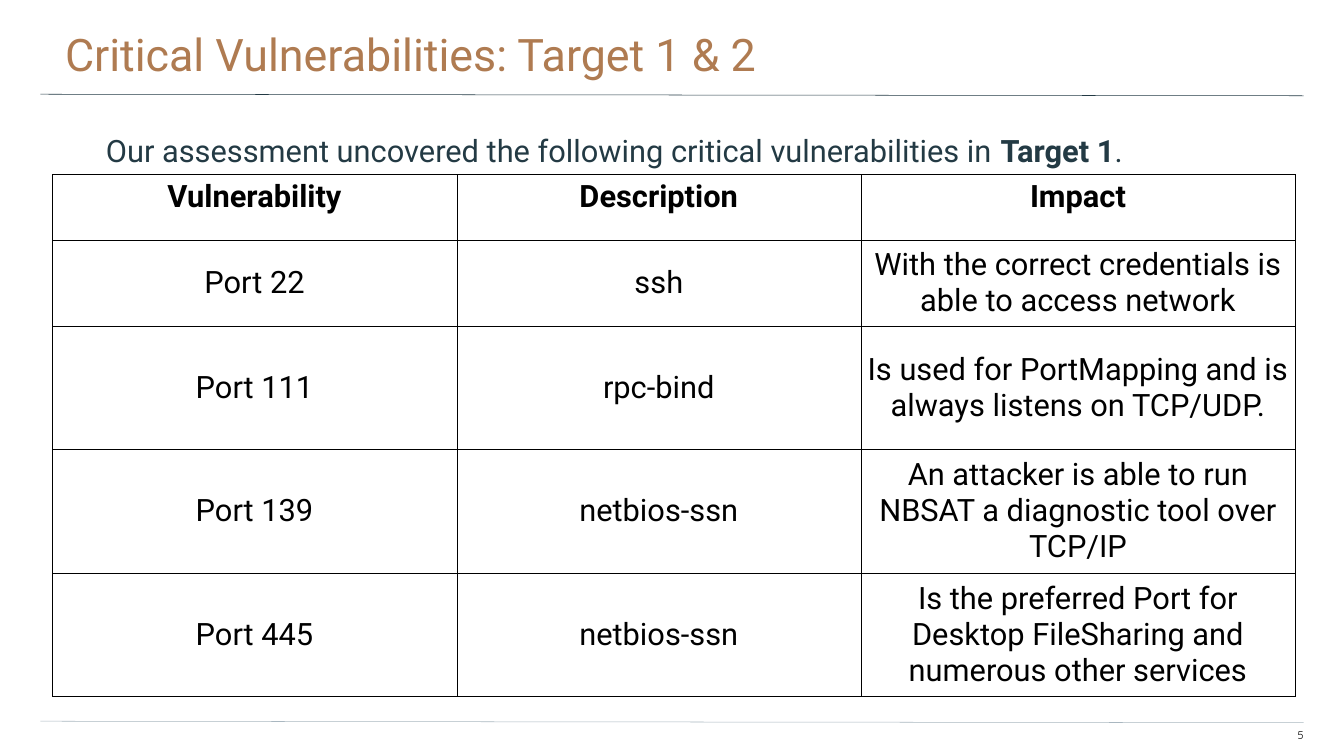
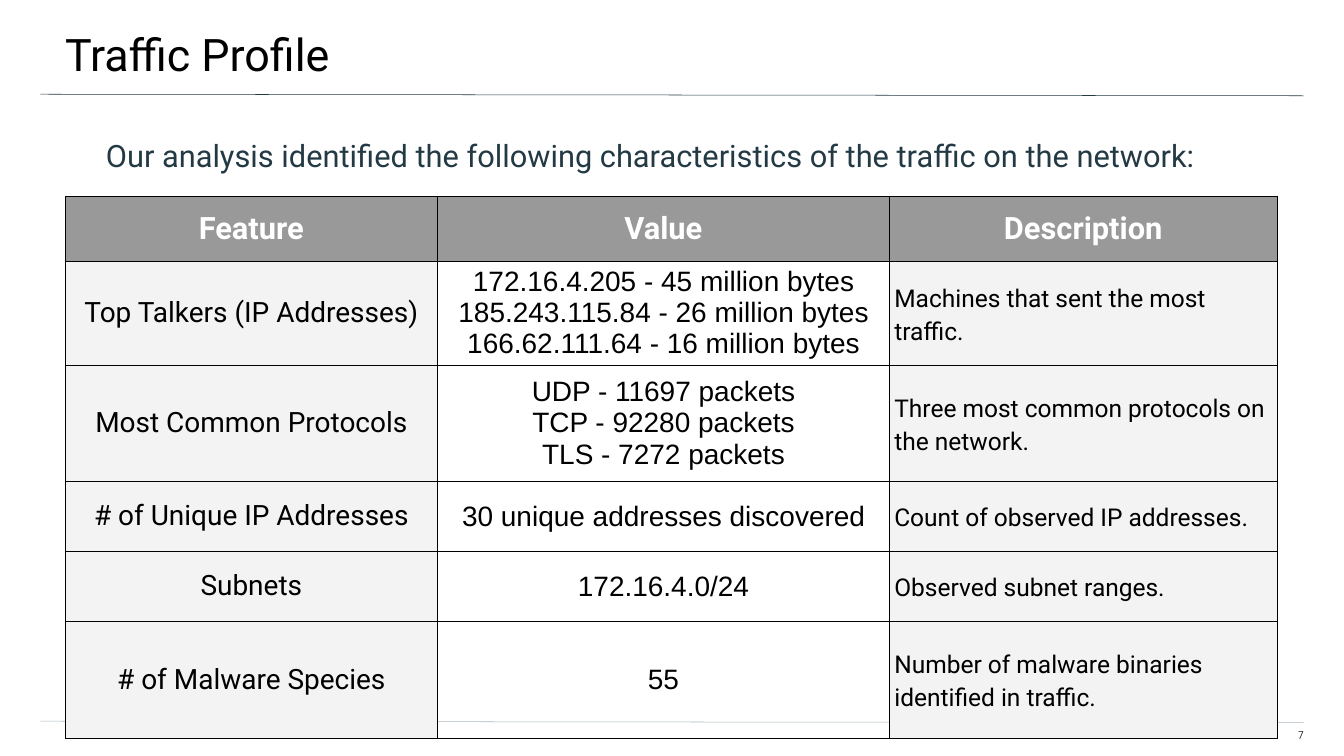
from dataclasses import dataclass
from typing import Optional

from lxml import etree
from pptx import Presentation
from pptx.dml.color import RGBColor
from pptx.enum import shapes, text
from pptx.oxml import ns
from pptx.util import Inches, Pt

BLACK = RGBColor(0, 0, 0)
WHITE = RGBColor(0xFF, 0xFF, 0xFF)
COPPER = RGBColor(0xAF, 0x7B, 0x51)
SLATE = RGBColor(0x23, 0x3A, 0x44)
MIST = RGBColor(0xA9, 0xB7, 0xC0)
GREY = RGBColor(0x99, 0x99, 0x99)
PALE = RGBColor(0xF3, 0xF3, 0xF3)
MID = text.MSO_ANCHOR.MIDDLE
TOP = text.MSO_ANCHOR.TOP
LEFT = text.PP_ALIGN.LEFT
RIGHT = text.PP_ALIGN.RIGHT
CENTER = text.PP_ALIGN.CENTER


@dataclass(frozen=True)
class Style:
    size: float
    color: RGBColor = BLACK
    font: str = "Roboto"
    bold: bool = False
    align: text.PP_ALIGN = LEFT
    space: Optional[float] = None
    after: float = 0


@dataclass(frozen=True)
class Look:
    style: Style
    fill: Optional[RGBColor] = None
    anchor: text.MSO_ANCHOR = MID


@dataclass(frozen=True)
class Grid:
    left: float
    top: float
    cols: list[float]
    rows: list[float]
    head: Look
    body: list[Look]
    cells: list[list[str]]


@dataclass(frozen=True)
class Page:
    title: str
    color: RGBColor
    number: str
    intro: list[str]
    top: float
    after: float
    grid: Grid


@dataclass(frozen=True)
class Rule:
    top: float
    color: RGBColor


RULES = [Rule(1.87, SLATE), Rule(14.31, MIST)]
PLAIN = Look(Style(44, align=CENTER))
LABEL = Look(Style(40, align=CENTER), PALE)
VALUE = Look(Style(40, font="Arial", align=CENTER))
NOTE = Look(Style(35, space=1.15, after=10), PALE)

PORTS = Grid(
    1.04, 3.46, [8.02, 8.02, 8.61], [1.31, 1.7] + [2.45] * 3,
    Look(Style(44, bold=True, align=CENTER), anchor=TOP), [PLAIN] * 3,
    [
        ["Vulnerability", "Description", "Impact"],
        ["Port 22", "ssh", "With the correct credentials is able to access network"],
        ["Port 111", "rpc-bind", "Is used for PortMapping and is always listens on TCP/UDP."],
        ["Port 139", "netbios-ssn", "An attacker is able to run NBSAT a diagnostic tool over TCP/IP"],
        ["Port 445", "netbios-ssn",
         "Is the preferred Port for Desktop FileSharing and numerous other services"],
    ],
)
TRAFFIC = Grid(
    1.29, 3.9, [7.39, 8.96, 7.7], [1.28, 2.06, 2.31, 1.39, 1.39, 2.31],
    Look(Style(44, WHITE, bold=True, align=CENTER), GREY), [LABEL, VALUE, NOTE],
    [
        ["Feature", "Value", "Description"],
        ["Top Talkers (IP Addresses)",
         "172.16.4.205 - 45 million bytes\n185.243.115.84 - 26 million bytes\n"
         "166.62.111.64 - 16 million bytes",
         "Machines that sent the most traffic."],
        ["Most Common Protocols",
         "UDP - 11697 packets\nTCP - 92280 packets\nTLS - 7272 packets",
         "Three most common protocols on the network."],
        ["# of Unique IP Addresses", "30 unique addresses discovered",
         "Count of observed IP addresses."],
        ["Subnets", "172.16.4.0/24", "Observed subnet ranges."],
        ["# of Malware Species", "55", "Number of malware binaries identified in traffic."],
    ],
)
PAGES = [
    Page("Critical Vulnerabilities: Target 1 & 2", COPPER, "5",
         ["Our assessment uncovered the following critical vulnerabilities in ", "Target 1", "."],
         2.51, 0, PORTS),
    Page("Traffic Profile", BLACK, "7",
         ["Our analysis identified the following characteristics of the traffic on the network:"],
         2.61, 12, TRAFFIC),
]


def dress(frame, style: Style) -> None:
    for para in frame.paragraphs:
        para.alignment = style.align
        para.space_after = Pt(style.after)
        if style.space:
            para.line_spacing = style.space
        for run in para.runs:
            font = run.font
            font.name = style.font
            font.size = Pt(style.size)
            font.bold = style.bold
            font.color.rgb = style.color


def add_text(slide, box: tuple, pads: tuple, parts: list[str], style: Style) -> None:
    frame = slide.shapes.add_textbox(*map(Inches, box)).text_frame
    frame.word_wrap = True
    frame.auto_size = text.MSO_AUTO_SIZE.NONE
    frame.vertical_anchor = TOP
    frame.margin_left, frame.margin_top, frame.margin_right = map(Inches, pads)
    frame.margin_bottom = Inches(0)
    for part in parts:
        frame.paragraphs[0].add_run().text = part
    dress(frame, style)
    for run in frame.paragraphs[0].runs[1::2]:
        run.font.bold = True


def add_rule(slide, rule: Rule) -> None:
    ends = map(Inches, (0.8, rule.top, 25.86, rule.top + 0.03))
    line = slide.shapes.add_connector(shapes.MSO_CONNECTOR.STRAIGHT, *ends)
    line.line.color.rgb = rule.color
    line.line.width = Pt(0.75)
    etree.SubElement(line._element.spPr, ns.qn("a:effectLst"))


def add_edges(cell) -> None:
    props = cell._tc.get_or_add_tcPr()
    for side in ("lnL", "lnR", "lnT", "lnB"):
        edge = etree.SubElement(props, ns.qn(f"a:{side}"), w=str(Pt(0.75)))
        fill = etree.SubElement(edge, ns.qn("a:solidFill"))
        etree.SubElement(fill, ns.qn("a:srgbClr"), val=str(BLACK))


def fill_cell(cell, words: str, look: Look) -> None:
    cell.text_frame.text = words
    cell.vertical_anchor = look.anchor
    cell.margin_left = cell.margin_right = Inches(0.1)
    cell.margin_top = cell.margin_bottom = Inches(0.1)
    dress(cell.text_frame, look.style)
    add_edges(cell)
    if look.fill is None:
        cell.fill.background()
    else:
        cell.fill.solid()
        cell.fill.fore_color.rgb = look.fill


def add_grid(slide, grid: Grid) -> None:
    box = map(Inches, (grid.left, grid.top, sum(grid.cols), sum(grid.rows)))
    table = slide.shapes.add_table(len(grid.rows), len(grid.cols), *box).table
    table.first_row = table.horz_banding = False
    for col, width in zip(table.columns, grid.cols):
        col.width = Inches(width)
    for row, height in zip(table.rows, grid.rows):
        row.height = Inches(height)
    for r, words in enumerate(grid.cells):
        looks = grid.body if r else [grid.head] * len(grid.cols)
        for c, (word, look) in enumerate(zip(words, looks)):
            fill_cell(table.cell(r, c), word, look)


def add_page(deck, page: Page) -> None:
    slide = deck.slides.add_slide(deck.slide_layouts[6])
    for rule in RULES:
        add_rule(slide, rule)
    add_text(slide, (-0.04, 0, 26.73, 1.56), (1.33, 0.53, 0.8),
             [page.title], Style(64, page.color))
    add_text(slide, (25.1, 14.46, 0.76, 0.31), (0, 0, 0),
             [page.number], Style(16, font="Quicksand", align=RIGHT))
    add_text(slide, (0.77, page.top, 25.09, 10.79), (1.33, 0, 1.33),
             page.intro, Style(44, SLATE, space=1.15, after=page.after))
    add_grid(slide, page.grid)


def main() -> None:
    deck = Presentation()
    deck.slide_width = Inches(26.66)
    deck.slide_height = Inches(15)
    for page in PAGES:
        add_page(deck, page)
    deck.save("out.pptx")


if __name__ == "__main__":
    main()
